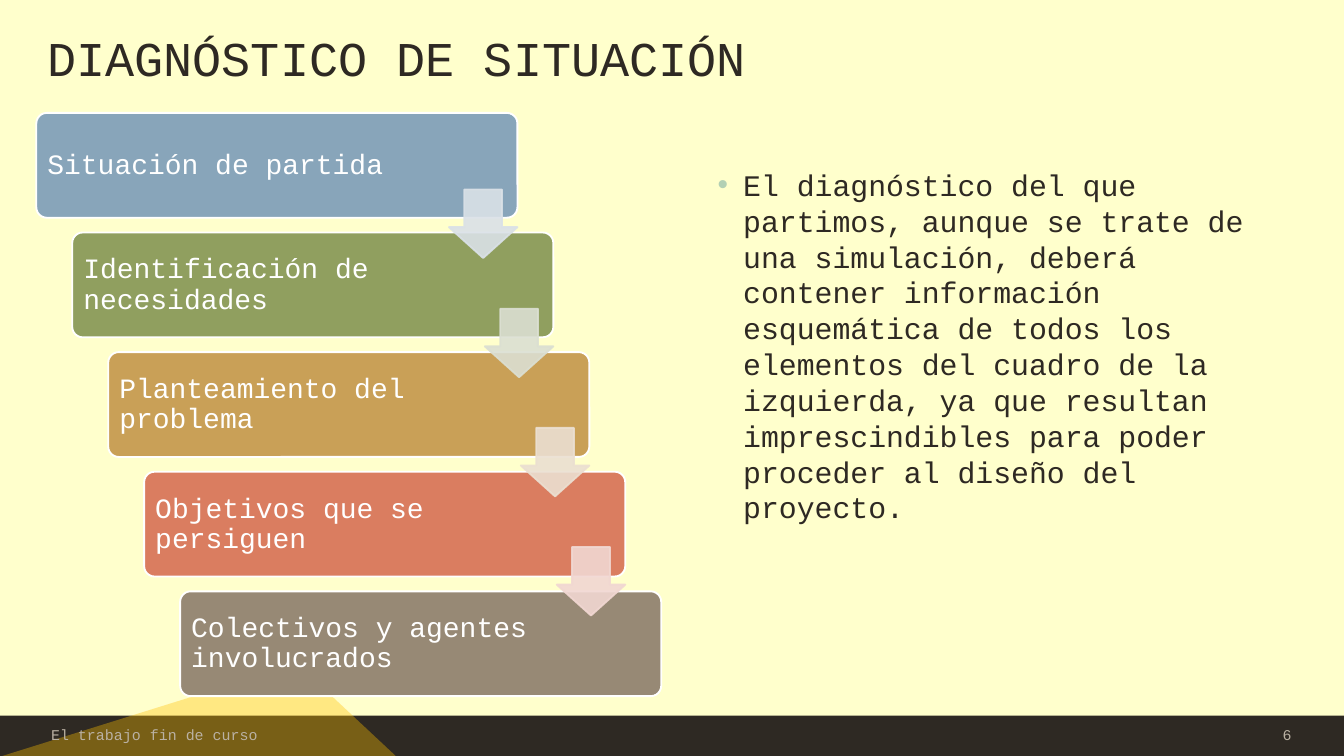
from lxml import etree
from pptx import Presentation
from pptx.dml.color import RGBColor
from pptx.enum.shapes import MSO_SHAPE
from pptx.enum.text import MSO_ANCHOR, MSO_AUTO_SIZE, PP_ALIGN
from pptx.oxml.ns import qn
from pptx.util import Inches, Pt

RECTANGLE = MSO_SHAPE.RECTANGLE
TRIANGLE = MSO_SHAPE.ISOSCELES_TRIANGLE
ROUNDED = MSO_SHAPE.ROUNDED_RECTANGLE
DOWN_ARROW = MSO_SHAPE.DOWN_ARROW
TOP, MIDDLE, BOTTOM = MSO_ANCHOR.TOP, MSO_ANCHOR.MIDDLE, MSO_ANCHOR.BOTTOM
LEFT, RIGHT = PP_ALIGN.LEFT, PP_ALIGN.RIGHT

FONT = "Courier New"
DARK = "2E2923"
MUTED = "BAB1A3"
WHITE = "FFFFFF"


def paint(color_format, color, opacity=100):
    """Colour a solid fill, with opacity in percent."""
    color_format.solid()
    color_format.fore_color.rgb = RGBColor.from_string(color)
    if opacity < 100:
        for node in color_format._xPr.find(qn("a:solidFill")):
            etree.SubElement(node, qn("a:alpha"), val=str(opacity * 1000))


def write(shape, text, size, color, anchor, align=LEFT, insets=(0.07, 0.04, 0.07, 0.04)):
    """Fill a shape with one formatted paragraph and return the paragraph."""
    frame = shape.text_frame
    frame.text = text
    frame.word_wrap = True
    frame.auto_size = MSO_AUTO_SIZE.NONE
    frame.vertical_anchor = anchor
    frame.margin_left, frame.margin_top, frame.margin_right, frame.margin_bottom = map(Inches, insets)
    para = frame.paragraphs[0]
    para.alignment = align
    font = para.runs[0].font
    font.name = FONT
    font.size = Pt(size)
    font.color.rgb = RGBColor.from_string(color)
    return para


deck = Presentation()
deck.slide_width = Inches(10)
deck.slide_height = Inches(10 * 9 / 16)
slide = deck.slides.add_slide(deck.slide_layouts[1])
paint(slide.background.fill, "FFFFCC")
shapes = slide.shapes

# Footer band with two stacked translucent triangles
band_height = Inches(0.3)
band = shapes.add_shape(
    RECTANGLE, 0, deck.slide_height - band_height, deck.slide_width, band_height)
band.shadow.inherit = False
paint(band.fill, DARK)
band.line.fill.background()

for _ in range(2):
    triangle = shapes.add_shape(TRIANGLE, 0, Inches(4.94), Inches(2.95), Inches(0.69))
    triangle.shadow.inherit = False
    triangle.adjustments[0] = 0.75
    paint(triangle.fill, "FFC000", 20)
    triangle.line.fill.background()

footers = [
    (0.31, 6.92, "El trabajo fin de curso", LEFT),
    (9.31, 0.37, "6", RIGHT),
]
for left, width, text, align in footers:
    footer = shapes.add_textbox(Inches(left), Inches(5.37), Inches(width), Inches(0.19))
    write(footer, text, 8, MUTED, MIDDLE, align)

# Title
title = shapes.title
title.left, title.top, title.width, title.height = map(Inches, (0.28, 0.14, 9.45, 0.55))
write(title, "DIAGNÓSTICO DE SITUACIÓN", 26, DARK, BOTTOM).line_spacing = 0.9

# Staircase of steps, then the arrows that lead down it
STEP_X, STEP_Y = 1.07 / 4, 3.56 / 4
steps = [
    ("Situación de partida", "88A5BA"),
    ("Identificación de necesidades", "909F5F"),
    ("Planteamiento del problema", "C9A057"),
    ("Objetivos que se persiguen", "DA7D60"),
    ("Colectivos y agentes involucrados", "978975"),
]
for index, (text, color) in enumerate(steps):
    box = shapes.add_shape(
        ROUNDED, Inches(0.27 + index * STEP_X), Inches(0.84 + index * STEP_Y),
        Inches(3.58), Inches(0.78))
    box.shadow.inherit = False
    box.adjustments[0] = 0.1
    paint(box.fill, color)
    paint(box.line.fill, WHITE)
    box.line.width = Pt(1)
    para = write(box, text, 15, WHITE, MIDDLE, insets=(0.06, 0.06, 0.84, 0.06))
    para.line_spacing = 0.9

for index, color in enumerate(["DAE1E7", "DBDFD2", "EBDFD1", "F1D7D2"]):
    arrow = shapes.add_shape(
        DOWN_ARROW, Inches(3.34 + index * STEP_X), Inches(1.41 + index * 2.66 / 3),
        Inches(0.51), Inches(0.51))
    arrow.shadow.inherit = False
    arrow.adjustments[0] = 0.55
    arrow.adjustments[1] = 0.45
    paint(arrow.fill, color, 90)
    paint(arrow.line.fill, color, 90)
    arrow.line.width = Pt(1)

# Explanation
body = slide.placeholders[1]
body.left, body.top, body.width, body.height = map(Inches, (5.08, 0.84, 4.65, 4.33))
para = write(
    body,
    "El diagnóstico del que partimos, aunque se trate de una simulación, deberá "
    "contener información esquemática de todos los elementos del cuadro de la "
    "izquierda, ya que resultan imprescindibles para poder proceder al diseño del proyecto.",
    16, DARK, TOP, insets=(0.07, 0.4, 0.28, 0.04))
para.space_before = Pt(6)
properties = para._p.get_or_add_pPr()
properties.set("marL", str(Inches(0.38)))
properties.set("indent", str(Inches(-0.19)))
bullet_color = etree.SubElement(properties, qn("a:buClr"))
etree.SubElement(bullet_color, qn("a:srgbClr"), val="B2D0B4")
etree.SubElement(properties, qn("a:buFont"), typeface="Arial")
etree.SubElement(properties, qn("a:buChar"), char="•")

deck.save("out.pptx")
